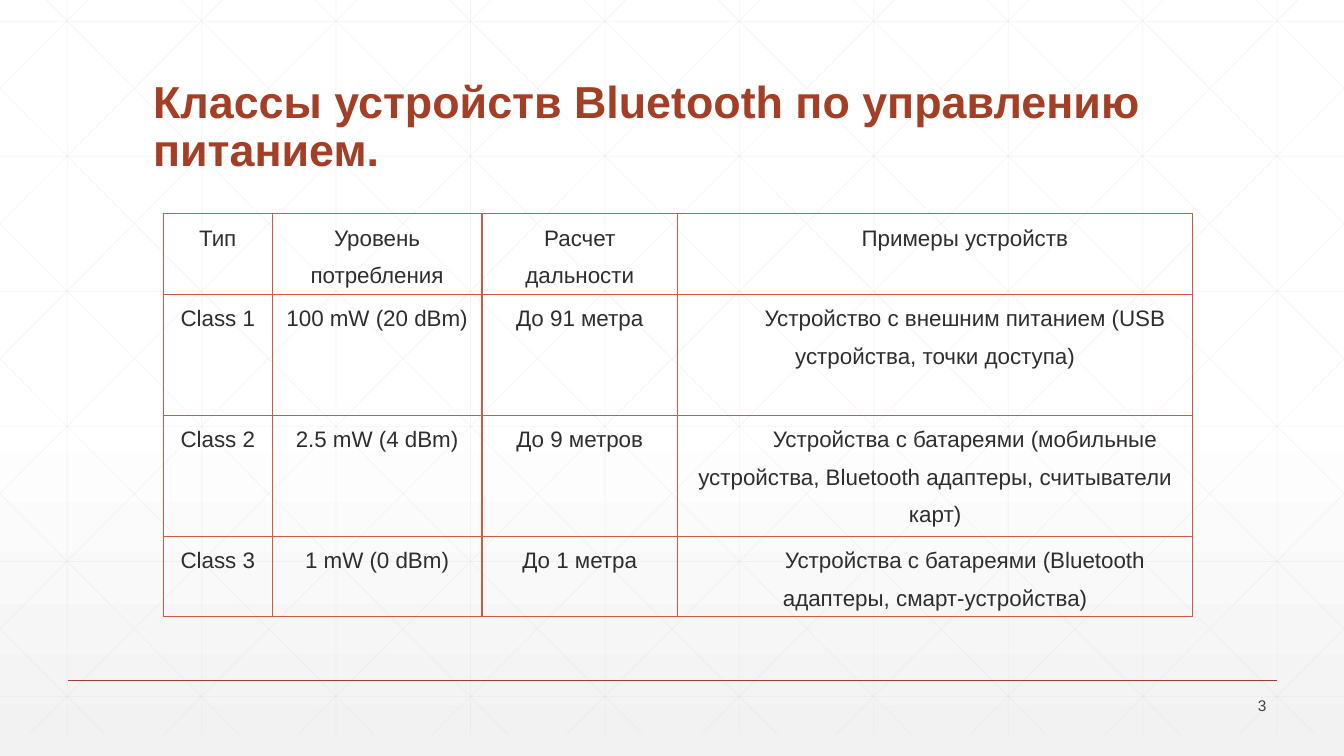
from lxml import etree
from pptx import Presentation
from pptx import util as u
from pptx.dml.color import RGBColor
from pptx.enum import shapes, text
from pptx.oxml.ns import qn

TITLE = "Классы устройств Bluetooth по управлению питанием."
PAGE_NUMBER = "3"
ROWS = [
    ("Тип", "Уровень потребления", "Расчет дальности", "Примеры устройств"),
    ("Class 1", "100 mW (20 dBm)", "До 91 метра",
     "Устройство с внешним питанием (USB устройства, точки доступа)"),
    ("Class 2", "2.5 mW (4 dBm)", "До 9 метров",
     "Устройства с батареями (мобильные устройства, Bluetooth адаптеры, считыватели карт)"),
    ("Class 3", "1 mW (0 dBm)", "До 1 метра",
     "Устройства с батареями (Bluetooth адаптеры, смарт-устройства)"),
]
COLUMN_WIDTHS = (1.08, 2.08, 1.94, 5.11)
ROW_HEIGHTS = (0.77, 1.2, 1.18, 0.77)
EXAMPLES_INDENT = 0.59

COLORS = {
    "white": "FFFFFF", "shade": "F2F2F2", "grid": "D9D9D9", "accent": "A43F27",
    "border": "D15A3E", "body": "2D2E2D", "number": "424342",
}
WIDTH, HEIGHT = 13.33, 7.5
GRID_TOP, GRID_BOTTOM = -0.21, 7.29
GRID_STEP = 4 / 3
DIAGONAL_RUN = 7.46


def color(name):
    return RGBColor.from_string(COLORS[name])


def add_line(slide, start, end, color_name, points, opacity=None):
    line = slide.shapes.add_connector(
        shapes.MSO_CONNECTOR.STRAIGHT, *(u.Inches(value) for value in (*start, *end)))
    line.line.color.rgb = color(color_name)
    line.line.width = u.Pt(points)
    etree.SubElement(line._element.spPr, qn("a:effectLst"))
    if opacity is not None:
        fill_color = line._element.spPr.find(".//" + qn("a:srgbClr"))
        etree.SubElement(fill_color, qn("a:alpha"), val=str(opacity * 1000))


def add_grid(slide):
    segments = [((GRID_STEP * (n + 0.5), GRID_TOP), (GRID_STEP * (n + 0.5), GRID_BOTTOM))
                for n in range(10)]
    segments += [((0, 0.21 + 1.34 * n), (WIDTH, 0.21 + 1.34 * n)) for n in range(6)]
    slope = (GRID_BOTTOM - GRID_TOP) / DIAGONAL_RUN
    for n in range(-5, 10):
        origin = 0.25 + GRID_STEP * n
        ends = [(x, GRID_TOP + (x - origin) * slope)
                for x in (max(origin, 0), min(origin + DIAGONAL_RUN, WIDTH))]
        segments += [ends, [(WIDTH - x, y) for x, y in ends]]
    for start, end in segments:
        add_line(slide, start, end, "grid", 0.5, opacity=25)


def write(frame, content, font, paragraph_format):
    paragraph = frame.paragraphs[0]
    run = paragraph.add_run()
    run.text = content
    run.font.color.rgb = color(font["color"])
    for name, value in {"name": "Arial", "size": u.Pt(font["size"]),
                        "bold": font.get("bold", False)}.items():
        setattr(run.font, name, value)
    for name, value in paragraph_format.items():
        setattr(paragraph, name, value)
    return paragraph


def add_text(slide, box, content, anchor, font, paragraph_format):
    frame = slide.shapes.add_textbox(*(u.Inches(value) for value in box)).text_frame
    frame.word_wrap = True
    frame.vertical_anchor = anchor
    write(frame, content, font, paragraph_format)


def style_cell(cell):
    properties = cell._tc.get_or_add_tcPr()
    for side in ("lnL", "lnR", "lnT", "lnB"):
        border = etree.SubElement(properties, qn("a:" + side), w=str(u.Pt(1)))
        fill = etree.SubElement(border, qn("a:solidFill"))
        etree.SubElement(fill, qn("a:srgbClr"), val=COLORS["border"])
    cell.fill.background()
    margins = {"margin_left": 0.07, "margin_right": 0.07, "margin_top": 0, "margin_bottom": 0}
    for name, value in margins.items():
        setattr(cell, name, u.Inches(value))


def add_device_table(slide):
    table = slide.shapes.add_table(
        len(ROWS), len(COLUMN_WIDTHS), u.Inches(1.62), u.Inches(2.12),
        u.Inches(sum(COLUMN_WIDTHS)), u.Inches(sum(ROW_HEIGHTS))).table
    table.first_row = table.horz_banding = False
    for column, width in zip(table.columns, COLUMN_WIDTHS):
        column.width = u.Inches(width)
    for row, height, contents in zip(table.rows, ROW_HEIGHTS, ROWS):
        row.height = u.Inches(height)
        for index, (cell, content) in enumerate(zip(row.cells, contents)):
            style_cell(cell)
            paragraph = write(cell.text_frame, content, {"size": 16, "color": "body"},
                              {"alignment": text.PP_ALIGN.CENTER, "line_spacing": 1.5})
            if index == len(COLUMN_WIDTHS) - 1:
                paragraph._p.get_or_add_pPr().set("indent", str(u.Inches(EXAMPLES_INDENT)))


def set_background(slide):
    fill = slide.background.fill
    fill.gradient()
    fill.gradient_angle = 270
    for stop, (position, name) in zip(fill.gradient_stops, ((0.53, "white"), (1, "shade"))):
        stop.position = position
        stop.color.rgb = color(name)


def main():
    presentation = Presentation()
    presentation.slide_width = u.Inches(WIDTH)
    presentation.slide_height = u.Inches(HEIGHT)
    slide = presentation.slides.add_slide(presentation.slide_layouts[6])
    set_background(slide)
    add_grid(slide)
    add_line(slide, (0.67, 6.75), (12.67, 6.75), "accent", 1)
    add_text(slide, (1.42, 0.55, 10.5, 1.25), TITLE, text.MSO_ANCHOR.BOTTOM,
             {"size": 32, "color": "accent", "bold": True}, {"line_spacing": 0.9})
    add_device_table(slide)
    add_text(slide, (11.66, 6.88, 1, 0.24), PAGE_NUMBER, text.MSO_ANCHOR.MIDDLE,
             {"size": 11, "color": "number"}, {"alignment": text.PP_ALIGN.RIGHT})
    presentation.save("out.pptx")


if __name__ == "__main__":
    main()
